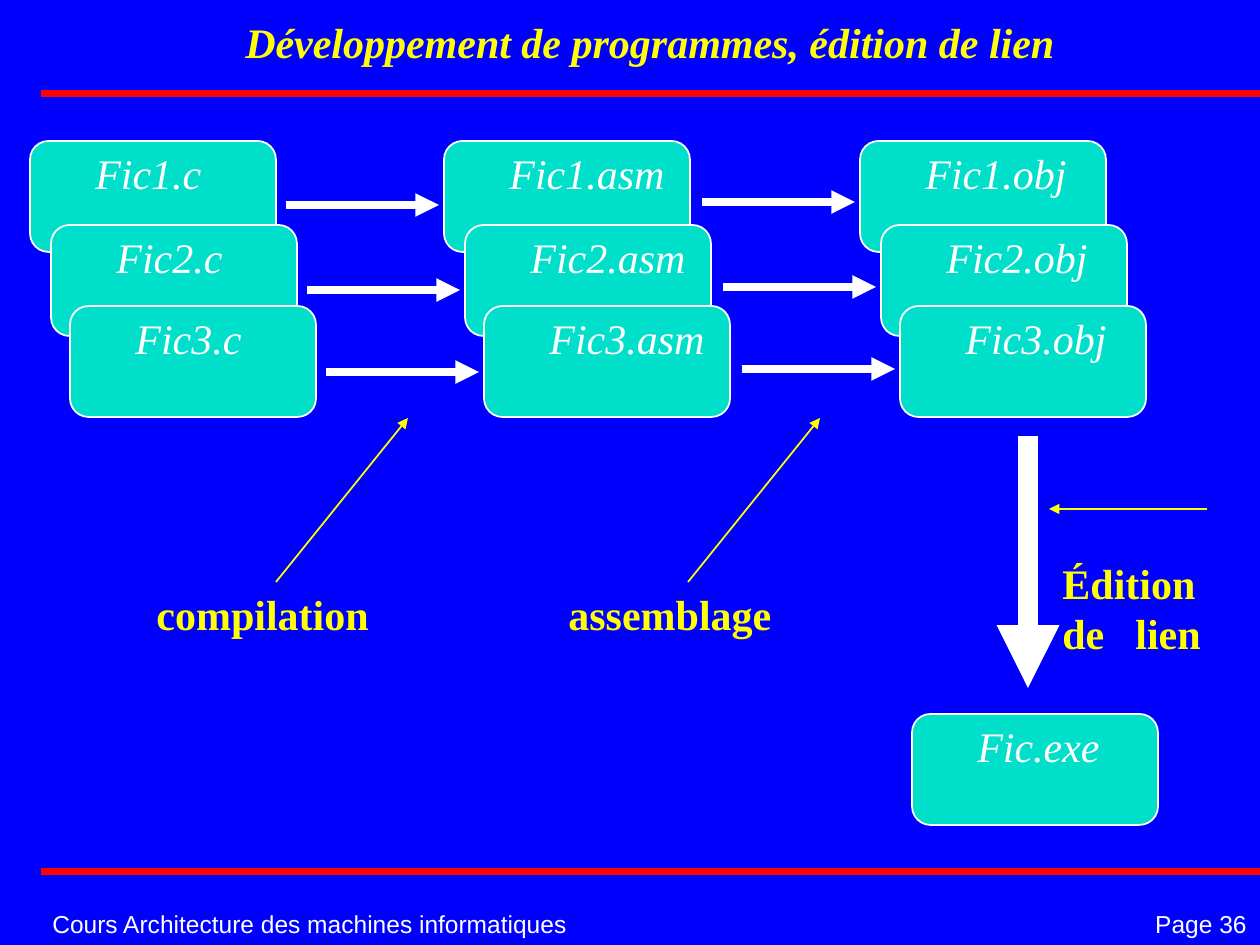
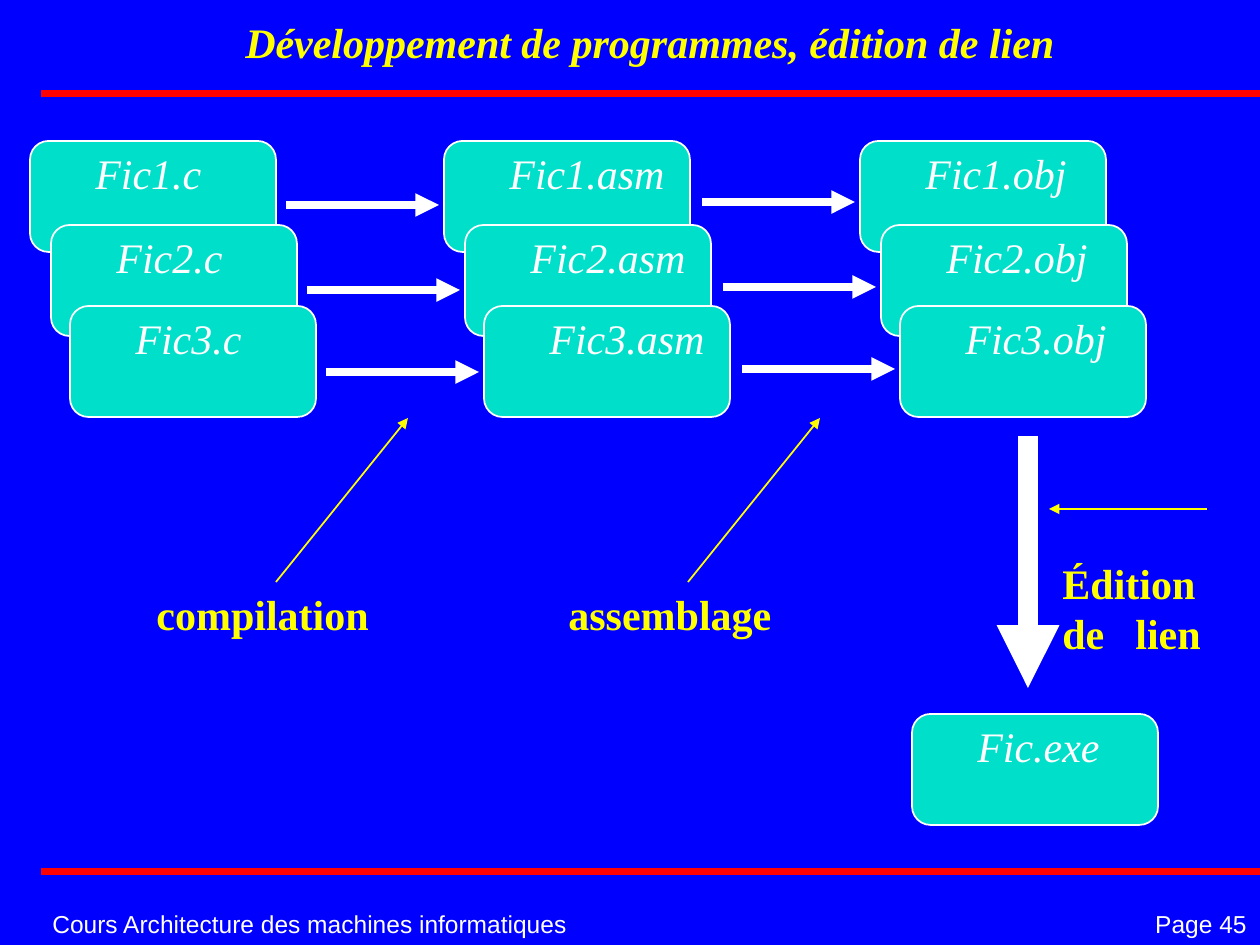
from dataclasses import dataclass

from lxml.etree import SubElement
from pptx import Presentation
from pptx.dml.color import RGBColor
from pptx.enum.shapes import MSO_CONNECTOR, MSO_SHAPE
from pptx.enum.text import MSO_ANCHOR, MSO_AUTO_SIZE, PP_ALIGN
from pptx.oxml.ns import qn
from pptx.util import Emu, Pt


def px(length):
    return Emu(round(length * 914400 / 126))


@dataclass(frozen=True)
class Box:
    left: int
    top: int
    width: int
    height: int

    def inner(self, left, top, width, height):
        return Box(self.left + left, self.top + top, width, height)

    def emu(self):
        return [px(side) for side in (self.left, self.top, self.width, self.height)]


@dataclass(frozen=True)
class Theme:
    back = RGBColor(0x00, 0x00, 0xFF)
    rule = RGBColor(0xFF, 0x01, 0x00)
    card = RGBColor(0x00, 0xDF, 0xCA)
    light = RGBColor(0xFF, 0xFF, 0xFF)
    accent = RGBColor(0xFF, 0xFF, 0x00)
    serif = "Times New Roman"
    sans = "Arial"
    body_size = Pt(24)
    footer_size = Pt(14)
    thin = Pt(1)
    rule_width = Pt(4)
    arrow_width = Pt(4.5)
    thick = Pt(12)


THEME = Theme()
FILE_STYLE = dict(name=THEME.serif, size=THEME.body_size, color=THEME.light, italic=True)
STEP_STYLE = dict(name=THEME.serif, size=THEME.body_size, color=THEME.accent, bold=True)
TITLE_STYLE = dict(STEP_STYLE, italic=True)
FOOTER_STYLE = dict(name=THEME.sans, size=THEME.footer_size, color=THEME.light)

PAGE = Box(0, 0, 1260, 945)
CARD_WIDTH, CARD_HEIGHT = 246, 111
LABEL_INDENT, LABEL_HEIGHT = 53, 63
CARD_STEPS = [(0, 0), (21, 84), (40, 165)]
ARROW_STEPS = [(0, 0), (21, 85), (40, 167)]
ARROW_LENGTH = 153
STAGES = [(30, ".c", 136), (444, ".asm", 185), (860, ".obj", 171)]
ARROW_ORIGINS = [(286, 205), (702, 202)]
PASSES = [("compilation", 144, 243), ("assemblage", 556, 234)]


def apply(target, values):
    for name, value in values.items():
        setattr(target, name, value)


def add_text(shapes, box, lines, style, align=PP_ALIGN.LEFT, **frame_values):
    frame = shapes.add_textbox(*box.emu()).text_frame
    apply(frame, dict(dict(word_wrap=False, auto_size=MSO_AUTO_SIZE.NONE), **frame_values))
    for index, line in enumerate(lines):
        para = frame.add_paragraph() if index else frame.paragraphs[0]
        para.alignment = align
        span = para.add_run()
        span.text = line
        apply(span.font, {name: value for name, value in style.items() if name != "color"})
        span.font.color.rgb = style["color"]
    return frame


def add_line(shapes, start, end, color, width, arrow=True):
    line = shapes.add_connector(MSO_CONNECTOR.STRAIGHT, *map(px, start + end))
    line.line.color.rgb = color
    line.line.width = width
    if arrow:
        SubElement(line.line._get_or_add_ln(), qn("a:tailEnd"), type="triangle")
    SubElement(line._element.spPr, qn("a:effectLst"))


def add_label(shapes, box, text, style):
    add_text(shapes, box, [text], style, word_wrap=True)


def add_card(shapes, box, name, label_width):
    card = shapes.add_shape(MSO_SHAPE.ROUNDED_RECTANGLE, *box.emu())
    card.shadow.inherit = False
    card.fill.solid()
    card.fill.fore_color.rgb = THEME.card
    card.line.color.rgb = THEME.light
    card.line.width = THEME.thin
    add_label(shapes, box.inner(LABEL_INDENT, 0, label_width, LABEL_HEIGHT), name, FILE_STYLE)


def add_stage(page, box, suffix, label_width):
    shapes = page.shapes.add_group_shape().shapes
    for number, (right, down) in enumerate(CARD_STEPS, 1):
        card = box.inner(right, down, CARD_WIDTH, CARD_HEIGHT)
        add_card(shapes, card, f"Fic{number}{suffix}", label_width)


def add_arrows(page, left, top):
    shapes = page.shapes.add_group_shape().shapes
    for right, down in ARROW_STEPS:
        start = (left + right, top + down)
        add_line(shapes, start, (start[0] + ARROW_LENGTH, start[1]), THEME.light, THEME.arrow_width)


def add_pass(page, box, name):
    shapes = page.shapes.add_group_shape().shapes
    start = (box.left + 132, box.top)
    add_line(shapes, start, (start[0] + 132, box.top - 164), THEME.accent, THEME.thin)
    add_label(shapes, box, name, STEP_STYLE)


def add_linking(page, box):
    shapes = page.shapes
    stem = box.left + 31
    add_line(shapes, (stem, box.top), (stem, box.top + 252), THEME.light, THEME.thick)
    pointer = box.top + 73
    add_line(shapes, (box.left + 210, pointer), (box.left + 52, pointer), THEME.accent, THEME.thin)
    frame = add_text(shapes, box.inner(53, 115, 169, 113), ["Édition", "de\tlien"], STEP_STYLE,
                     word_wrap=True)
    tabs = SubElement(frame.paragraphs[1]._p.get_or_add_pPr(), qn("a:tabLst"))
    SubElement(tabs, qn("a:tab"), pos=str(px(73)), algn="l")
    add_card(shapes.add_group_shape().shapes,
             box.inner(-85, 278, CARD_WIDTH, CARD_HEIGHT), "Fic.exe", 153)


def add_frame(page, box, title, number):
    for height in (94, 872):
        add_line(page.shapes, (box.left + 41, box.top + height),
                 (box.left + box.width, box.top + height), THEME.rule, THEME.rule_width, arrow=False)
    add_text(page.shapes, box.inner(40, 903, 542, 42),
             ["Cours Architecture des machines informatiques"], FOOTER_STYLE,
             vertical_anchor=MSO_ANCHOR.MIDDLE)
    add_text(page.shapes, box.inner(1100, 903, 202, 42), [f"Page {number}"], FOOTER_STYLE,
             PP_ALIGN.CENTER, vertical_anchor=MSO_ANCHOR.MIDDLE)
    add_text(page.shapes, box.inner(119, 20, 1062, 53), [title], TITLE_STYLE, PP_ALIGN.CENTER,
             word_wrap=True, vertical_anchor=MSO_ANCHOR.BOTTOM)


def add_build_page(deck, number):
    page = deck.slides.add_slide(deck.slide_layouts[6])
    add_frame(page, PAGE, "Développement de programmes, édition de lien", number)
    for left, suffix, label_width in STAGES:
        add_stage(page, PAGE.inner(left, 141, 286, 276), suffix, label_width)
    for left, top in ARROW_ORIGINS:
        add_arrows(page, left, top)
    for name, left, width in PASSES:
        add_pass(page, PAGE.inner(left, 582, width, LABEL_HEIGHT), name)
    add_linking(page, PAGE.inner(997, 436, 222, 389))


deck = Presentation()
apply(deck, dict(slide_width=px(PAGE.width), slide_height=px(PAGE.height)))
backdrop = deck.slide_master.background.fill
backdrop.solid()
backdrop.fore_color.rgb = THEME.back
for number in (36, 45):
    add_build_page(deck, number)
deck.save("out.pptx")
